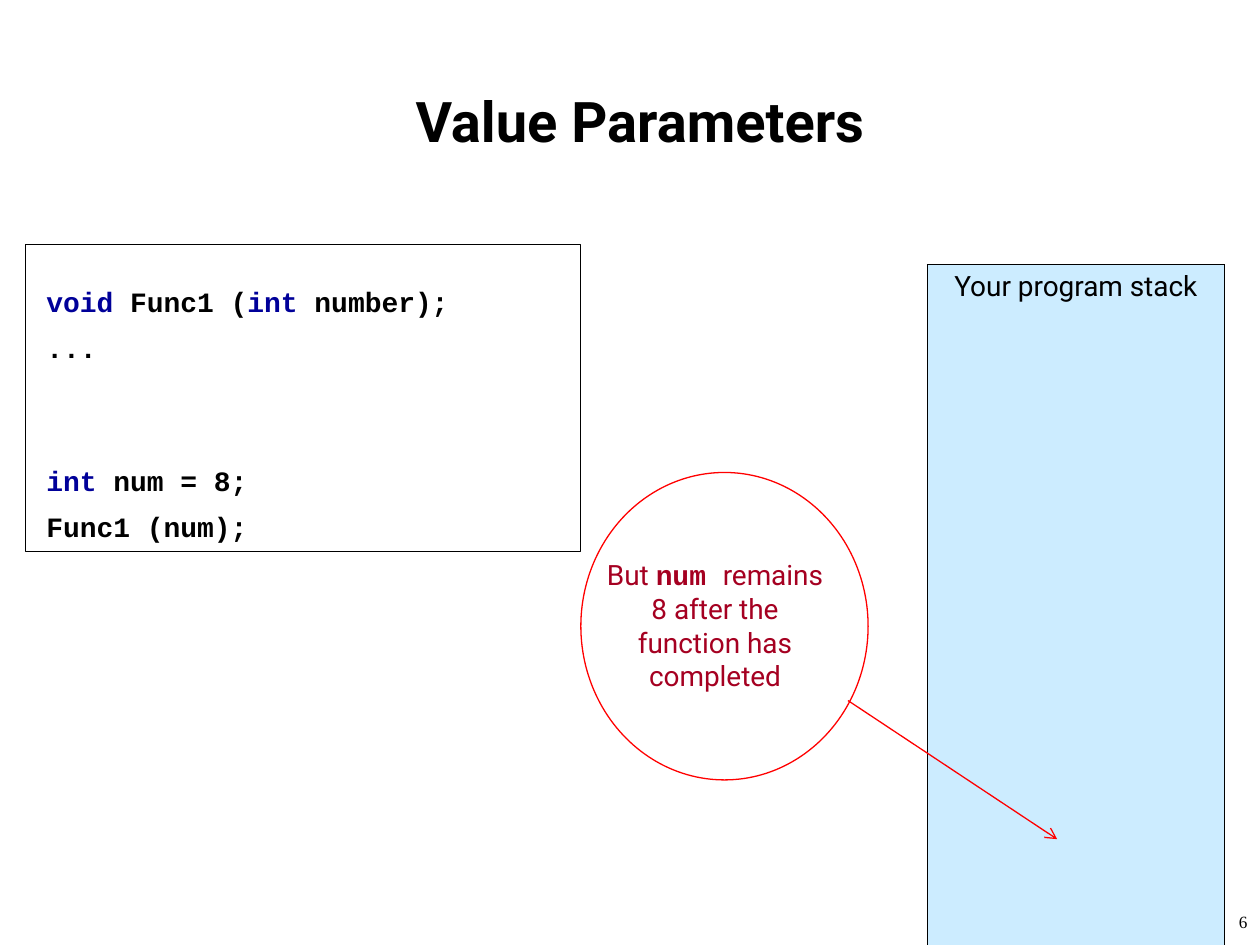
from lxml import etree
from pptx import Presentation
from pptx import util as u
from pptx.dml.color import RGBColor
from pptx.enum import shapes, text
from pptx.oxml import ns

BLACK = RGBColor(0x00, 0x00, 0x00)
KEYWORD_BLUE = RGBColor(0x00, 0x00, 0x99)
STACK_BLUE = RGBColor(0xCC, 0xEC, 0xFF)
RED = RGBColor(0xFF, 0x00, 0x00)
DARK_RED = RGBColor(0xA5, 0x00, 0x21)
BODY_FONT, CODE_FONT, NUMBER_FONT = "Roboto", "Courier New", "Times New Roman"
CENTER, RIGHT = text.PP_ALIGN.CENTER, text.PP_ALIGN.RIGHT


def inches(*lengths):
    return [u.Inches(length) for length in lengths]


def add_element(parent, tag, **attributes):
    return etree.SubElement(parent, ns.qn(tag), attributes)


class SlideBuilder:
    """Holds the slide and the style shared by its elements."""

    line_width = u.Pt(0.75)
    border_width = u.Pt(0.45)

    def __init__(self, slide):
        self.slide = slide

    def style_font(self, paragraph, size, color, name=BODY_FONT, bold=False):
        font = paragraph.font
        font.size, font.name, font.bold = u.Pt(size), name, bold
        font.color.rgb = color

    def text_box(self, box, anchor=text.MSO_ANCHOR.TOP):
        frame = self.slide.shapes.add_textbox(*inches(*box)).text_frame
        frame.word_wrap = True
        frame.vertical_anchor = anchor
        return frame

    def label(self, box, words, size, name=BODY_FONT, bold=False,
              alignment=CENTER, anchor=text.MSO_ANCHOR.TOP):
        paragraph = self.text_box(box, anchor).paragraphs[0]
        paragraph.text = words
        paragraph.alignment = alignment
        self.style_font(paragraph, size, BLACK, name, bold)

    def code(self, box, lines):
        """Each line is its space before in points and its (words, color) runs."""
        frame = self.text_box(box)
        for index, (space_before, runs) in enumerate(lines):
            paragraph = frame.add_paragraph() if index else frame.paragraphs[0]
            paragraph.space_before = u.Pt(space_before)
            self.style_font(paragraph, 16, BLACK, CODE_FONT, True)
            for words, color in runs:
                run = paragraph.add_run()
                run.text = words
                run.font.color.rgb = color

    def callout_text(self, box, runs):
        """Each run is (words, font name, bold)."""
        paragraph = self.text_box(box).paragraphs[0]
        paragraph.alignment = CENTER
        self.style_font(paragraph, 16, DARK_RED)
        for words, name, bold in runs:
            run = paragraph.add_run()
            run.text = words
            run.font.name, run.font.bold = name, bold

    def outline(self, kind, box, color):
        shape = self.slide.shapes.add_shape(kind, *inches(*box))
        shape.shadow.inherit = False
        shape.fill.background()
        shape.line.color.rgb = color
        shape.line.width = self.line_width

    def arrow(self, start, end, color):
        connector = self.slide.shapes.add_connector(
            shapes.MSO_CONNECTOR.STRAIGHT, *inches(*start, *end))
        connector.line.color.rgb = color
        connector.line.width = self.line_width
        add_element(connector.line._get_or_add_ln(), "a:tailEnd", type="arrow")
        add_element(connector._element.spPr, "a:effectLst")

    def cell_borders(self, cell, drawn_sides):
        properties = cell._tc.get_or_add_tcPr()
        for side in "LRTB":
            border = add_element(properties, f"a:ln{side}", w=str(self.border_width))
            if side in drawn_sides:
                fill = add_element(border, "a:solidFill")
                add_element(fill, "a:srgbClr", val=str(BLACK))
            else:
                add_element(border, "a:noFill")

    def stack_table(self, left, top, widths, row_count, row_height, heading):
        """Draw the stack as the filled last column of a table."""
        table = self.slide.shapes.add_table(
            row_count, len(widths),
            *inches(left, top, sum(widths), row_count * row_height)).table
        table.first_row = table.horz_banding = False
        for column, width in zip(table.columns, widths):
            column.width = u.Inches(width)
        last = len(widths) - 1
        for row_index, row in enumerate(table.rows):
            row.height = u.Inches(row_height)
            for column_index, cell in enumerate(row.cells):
                if column_index == last:
                    self.cell_borders(cell, "LR" if row_index else "LRT")
                    cell.fill.solid()
                    cell.fill.fore_color.rgb = STACK_BLUE
                else:
                    self.cell_borders(cell, "R" if column_index == last - 1 else "")
                    cell.fill.background()
        paragraph = table.cell(0, last).text_frame.paragraphs[0]
        paragraph.text = heading
        paragraph.alignment = CENTER
        self.style_font(paragraph, 16, BLACK)


def main():
    presentation = Presentation()
    presentation.slide_width, presentation.slide_height = inches(10, 7.5)
    builder = SlideBuilder(presentation.slides.add_slide(presentation.slide_layouts[6]))

    builder.label((9.36, 7.18, 0.64, 0.28), "6", 9.8, NUMBER_FONT, alignment=RIGHT)
    builder.label((0.83, 0.6, 8.5, 0.71), "Value Parameters", 32, bold=True,
                  anchor=text.MSO_ANCHOR.MIDDLE)
    builder.code((0.27, 2.21, 4.3, 2.1), [
        (0, [("void", KEYWORD_BLUE), (" Func1 (", BLACK),
             ("int", KEYWORD_BLUE), (" number);", BLACK)]),
        (7, [("...", BLACK)]),
        (57, [("int", KEYWORD_BLUE), (" num = 8;", BLACK)]),
        (7, [("Func1 (num);", BLACK)]),
    ])
    builder.stack_table(5.55, 2.1, (0.79, 1.02, 2.36), 12, 0.45, "Your program stack")
    builder.callout_text((4.69, 4.38, 1.97, 1.17), [
        ("But ", BODY_FONT, False),
        ("num ", CODE_FONT, True),
        ("remains 8 after the function has completed", BODY_FONT, False),
    ])
    builder.outline(shapes.MSO_SHAPE.OVAL, (4.61, 3.75, 2.28, 2.44), RED)
    builder.arrow((6.73, 5.56), (8.39, 6.66), RED)
    builder.outline(shapes.MSO_SHAPE.RECTANGLE, (0.2, 1.94, 4.41, 2.44), BLACK)

    presentation.save("out.pptx")


if __name__ == "__main__":
    main()
